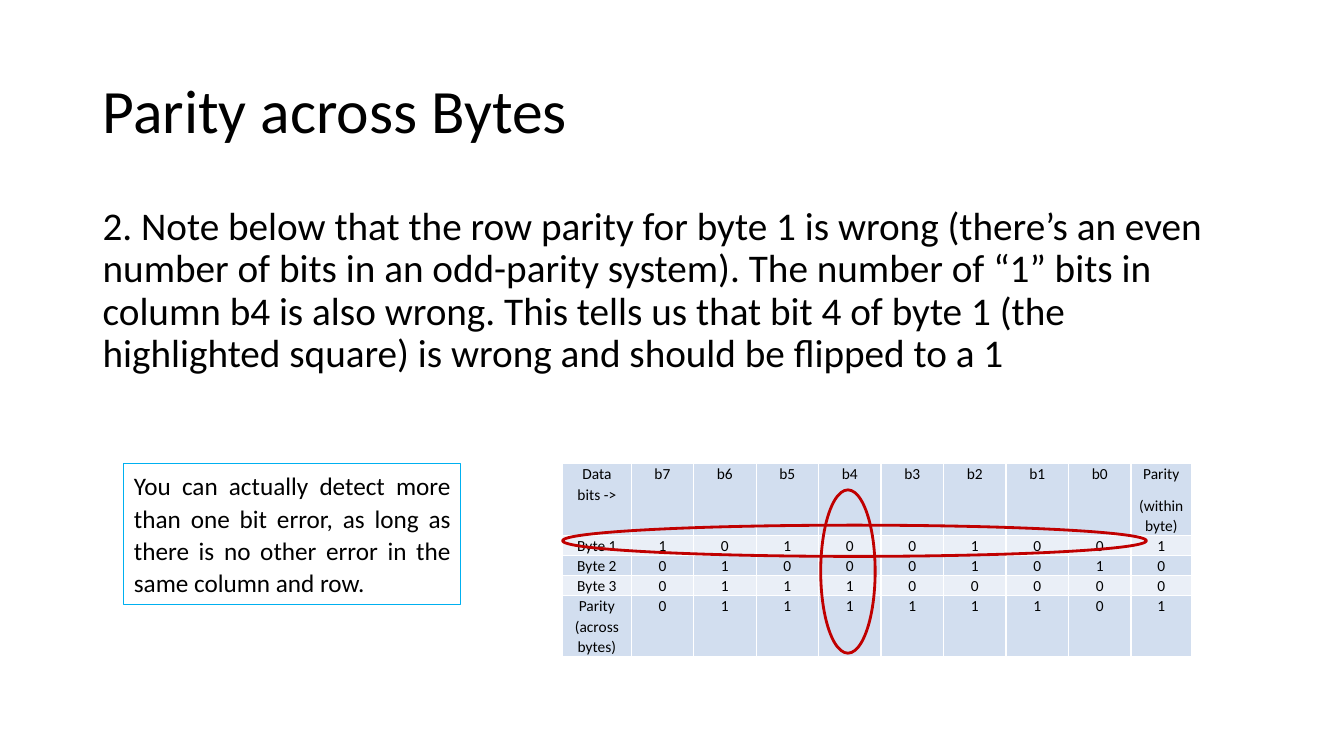
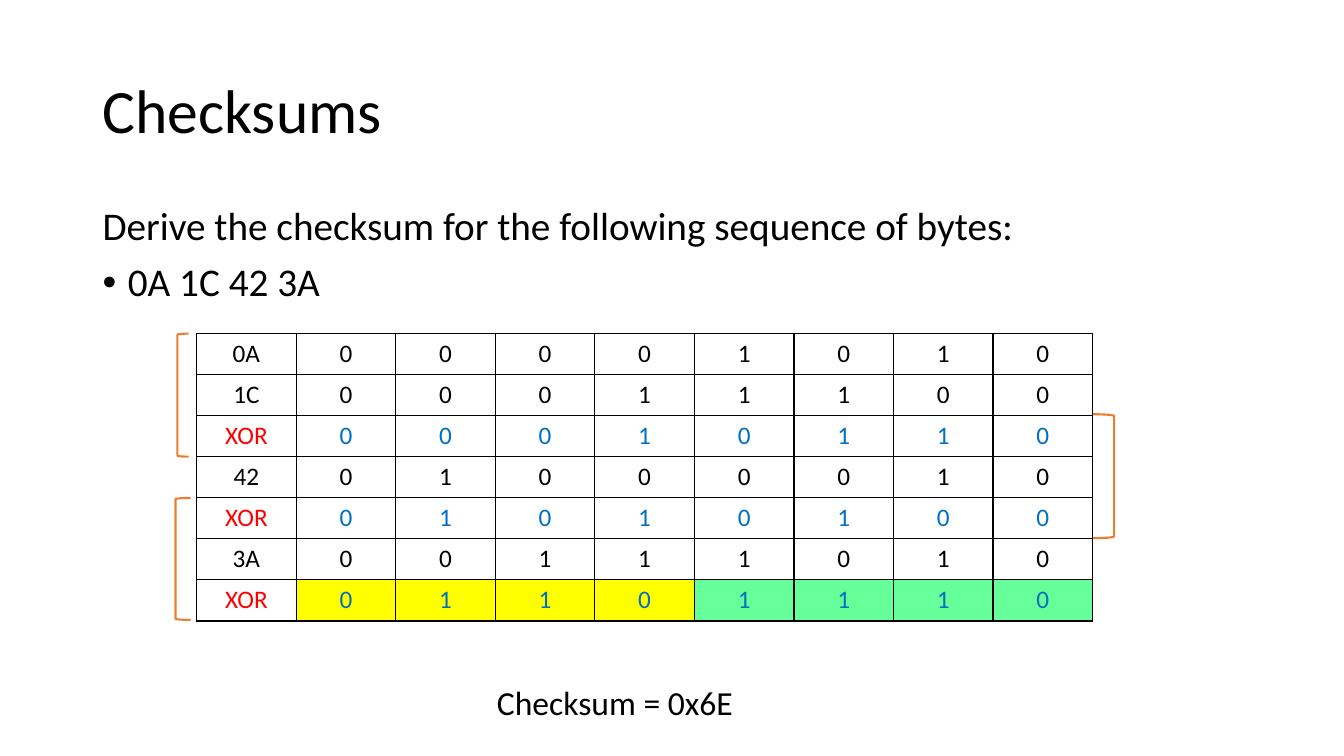
from lxml.etree import SubElement
from pptx import Presentation
from pptx.dml.color import RGBColor
from pptx.enum.shapes import MSO_SHAPE
from pptx.enum.text import MSO_ANCHOR, PP_ALIGN
from pptx.oxml import parse_xml
from pptx.oxml.ns import nsdecls, qn
from pptx.util import Inches, Pt

BLACK, WHITE = "000000", "FFFFFF"
RED, BLUE, DARK_RED = "FF0000", "0070C0", "C00000"
CYAN, ORANGE = "00B0F0", "ED7D31"
BAND_DARK, BAND_LIGHT = "D2DEEF", "EAEFF7"
YELLOW, GREEN = "FFFF00", "66FF99"


def rgb(hex_color):
    return RGBColor.from_string(hex_color)


class Deck:
    font = "Calibri"

    def __init__(self):
        self.prs = Presentation()
        self.prs.slide_width, self.prs.slide_height = Inches(13.33), Inches(7.5)
        self.slide = None

    def new_slide(self, title):
        self.slide = self.prs.slides.add_slide(self.prs.slide_layouts[6])
        self.text(0.92, 0.4, 11.5, 1.45, [title], 44, line=0.9, anchor=MSO_ANCHOR.MIDDLE)

    def fill_text(self, frame, paragraphs, size, color=BLACK, align=PP_ALIGN.LEFT,
                  line=1.0, gap=0, bulleted=()):
        """Fill a text frame; gap is the space between paragraphs in points."""
        for index, content in enumerate(paragraphs):
            paragraph = frame.add_paragraph() if index else frame.paragraphs[0]
            paragraph.alignment = align
            paragraph.line_spacing = line
            if index:
                paragraph.space_before = Pt(gap)
            if index in bulleted:
                props = paragraph._p.get_or_add_pPr()
                props.set("marL", str(Inches(0.25)))
                props.set("indent", str(-Inches(0.25)))
                SubElement(props, qn("a:buFont"), typeface="Arial")
                SubElement(props, qn("a:buChar"), char="•")
            run = paragraph.add_run()
            run.text = content
            run.font.name, run.font.size = self.font, Pt(size)
            run.font.color.rgb = rgb(color)

    def text(self, x, y, w, h, paragraphs, size, anchor=MSO_ANCHOR.TOP, **style):
        box = self.slide.shapes.add_textbox(Inches(x), Inches(y), Inches(w), Inches(h))
        box.text_frame.word_wrap = True
        box.text_frame.vertical_anchor = anchor
        self.fill_text(box.text_frame, paragraphs, size, **style)

    def body(self, h, paragraphs, bulleted=()):
        self.text(0.92, 2, 11.5, h, paragraphs, 28, line=0.9, gap=10, bulleted=bulleted)

    def outline(self, kind, x, y, w, h, color, weight):
        """Add an unfilled preset shape."""
        shape = self.slide.shapes.add_shape(kind, Inches(x), Inches(y), Inches(w), Inches(h))
        shape.shadow.inherit = False
        shape.fill.background()
        shape.line.color.rgb = rgb(color)
        shape.line.width = Pt(weight)
        return shape

    def note(self, x, y, w, h, content):
        frame = self.outline(MSO_SHAPE.RECTANGLE, x, y, w, h, CYAN, 0.75).text_frame
        frame.word_wrap = True
        frame.vertical_anchor = MSO_ANCHOR.TOP
        self.fill_text(frame, [content], 18, align=PP_ALIGN.JUSTIFY, line=1.07)

    def table(self, x, y, widths, heights, rows, border, look, margins=None):
        """Draw rows of text; look(row, column) gives the fill and the text style."""
        grid = self.slide.shapes.add_table(
            len(rows), len(widths), Inches(x), Inches(y),
            Inches(sum(widths)), Inches(sum(heights))).table
        grid.first_row = grid.horz_banding = False
        for column, width in zip(grid.columns, widths):
            column.width = Inches(width)
        for r, values in enumerate(rows):
            grid.rows[r].height = Inches(heights[r])
            for c, value in enumerate(values):
                cell = grid.cell(r, c)
                fill, style = look(r, c)
                if margins:
                    cell.margin_left = cell.margin_right = Inches(margins[0])
                    cell.margin_top = cell.margin_bottom = Inches(margins[1])
                self.fill_text(cell.text_frame, value.split("\n"),
                               align=PP_ALIGN.CENTER, **style)
                if fill:
                    cell.fill.solid()
                    cell.fill.fore_color.rgb = rgb(fill)
                else:
                    cell.fill.background()
                self.cell_border(cell, border)

    @staticmethod
    def cell_border(cell, color):
        props = cell._tc.get_or_add_tcPr()
        for index, side in enumerate("LRTB"):
            props.insert(index, parse_xml(
                f'<a:ln{side} {nsdecls("a")} w="{Pt(1)}"><a:solidFill>'
                f'<a:srgbClr val="{color}"/></a:solidFill></a:ln{side}>'))


def parity_slide(deck):
    deck.new_slide("Parity across Bytes")
    deck.body(1.84, [
        "2. Note below that the row parity for byte 1 is wrong (there’s an even number of "
        "bits in an odd-parity system). The number of “1” bits in column b4 is also wrong. "
        "This tells us that bit 4 of byte 1 (the highlighted square) is wrong and should be "
        "flipped to a 1"])

    # Parity table
    rows = [
        ["Data bits ->", *(f"b{bit}" for bit in range(7, -1, -1)), "Parity\n(within byte)"],
        ["Byte 1", *"101001001"],
        ["Byte 2", *"010001010"],
        ["Byte 3", *"011100000"],
        ["Parity (across bytes)", *"011111101"],
    ]
    text_style = dict(size=11, line=1.07, gap=8)
    deck.table(5.58, 4.6, [0.68] + [0.62] * 8 + [0.6], [0.71, 0.2, 0.2, 0.2, 0.6], rows, WHITE,
               lambda r, c: (BAND_LIGHT if r % 2 else BAND_DARK, text_style),
               margins=(0.07, 0))

    # Rings around the wrong column and row
    for ring in ((8.14, 4.86, 0.54, 1.62), (5.58, 5.21, 5.79, 0.31)):
        deck.outline(MSO_SHAPE.OVAL, *ring, DARK_RED, 2)

    deck.note(1.23, 4.6, 3.34, 1.4,
              "You can actually detect more than one bit error, as long as there is no "
              "other error in the same column and row.")


def checksum_slide(deck):
    deck.new_slide("Checksums")
    deck.body(1.17, ["Derive the checksum for the following sequence of bytes:",
                     "0A 1C 42 3A"], bulleted=(1,))

    # One strip per byte or XOR step; the last one holds the two result digits
    strips = [("0A", "00001010"), ("1C", "00011100"), ("XOR", "00010110"),
              ("42", "01000010"), ("XOR", "01010100"), ("3A", "00111010"),
              ("XOR", "01101110")]
    top, bottom = 3.31, 6.16
    pitch = (bottom - top) / len(strips)
    for step, (label, bits) in enumerate(strips):
        is_result = step == len(strips) - 1

        def look(_, column):
            color = BLACK
            if label == "XOR":
                color = BLUE if column else RED
            fill = None
            if is_result and column:
                fill = YELLOW if column <= 4 else GREEN
            return fill, dict(size=18, color=color)

        deck.table(1.95, top + step * pitch, [8.89 / 9] * 9, [pitch],
                   [[label, *bits]], BLACK, look)

    deck.text(4.83, 6.72, 3.12, 0.5, ["Checksum = 0x6E"], 24)

    # Brackets joining the strips of each XOR
    for kind, *place in (
            (MSO_SHAPE.LEFT_BRACKET, 1.76, 3.31, 0.11, 1.22),
            (MSO_SHAPE.RIGHT_BRACKET, 10.84, 4.11, 0.21, 1.23),
            (MSO_SHAPE.LEFT_BRACKET, 1.74, 4.94, 0.15, 1.21)):
        deck.outline(kind, *place, ORANGE, 1.5)


def main():
    deck = Deck()
    parity_slide(deck)
    checksum_slide(deck)
    deck.prs.save("out.pptx")


if __name__ == "__main__":
    main()
